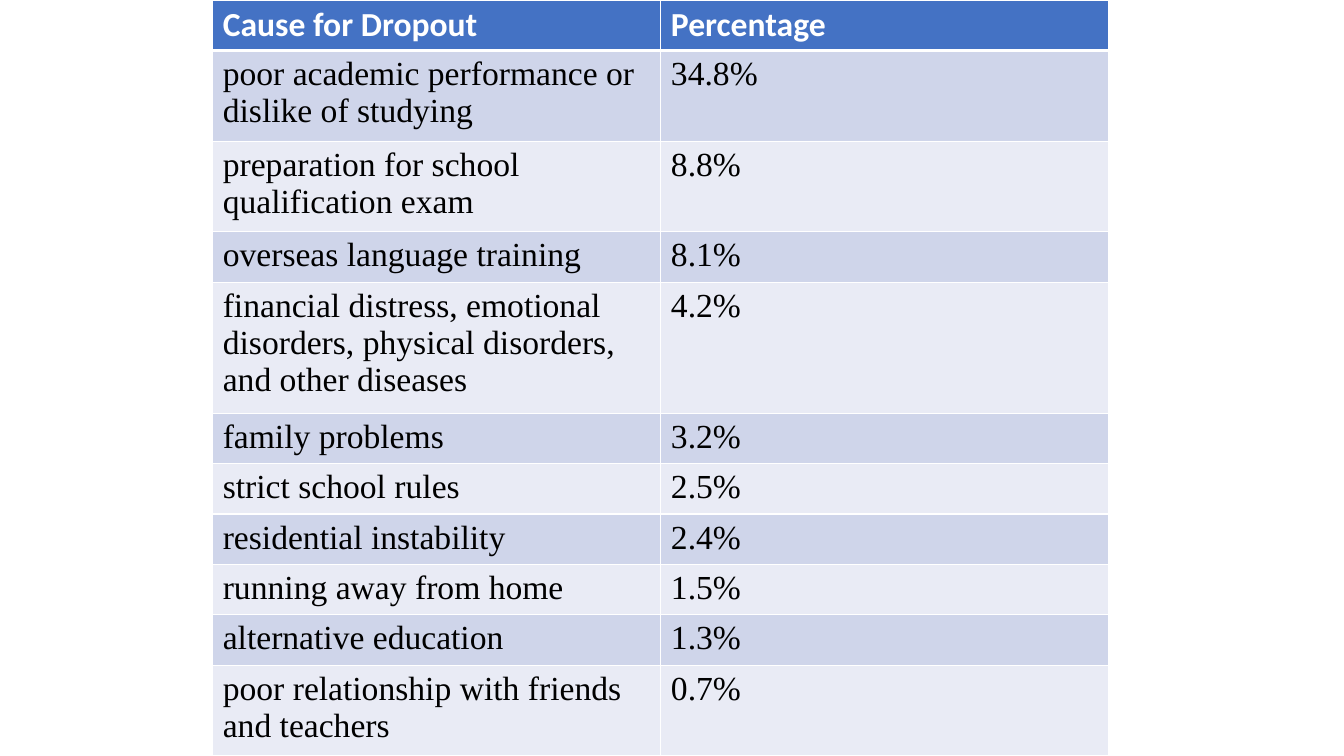
from dataclasses import dataclass

import lxml.etree
import pptx
import pptx.dml.color
import pptx.oxml
import pptx.oxml.ns
import pptx.util

Inches = pptx.util.Inches
RGBColor = pptx.dml.color.RGBColor

WHITE = RGBColor(0xFF, 0xFF, 0xFF)
BLACK = RGBColor(0x00, 0x00, 0x00)
HEADER_BLUE = RGBColor(0x44, 0x72, 0xC4)
BANDS = (RGBColor(0xCF, 0xD5, 0xEA), RGBColor(0xE9, 0xEB, 0xF5))


@dataclass(frozen=True)
class CellStyle:
    font: str
    color: RGBColor
    fill: RGBColor
    bold: bool = False
    bottom_margin: float = 0.05


@dataclass(frozen=True)
class Cause:
    name: str
    share: str
    lines: int = 1


HEADER = Cause("Cause for Dropout", "Percentage")
CAUSES = [
    Cause("poor academic performance or dislike of studying", "34.8%", 2),
    Cause("preparation for school qualification exam", "8.8%", 2),
    Cause("overseas language training", "8.1%"),
    Cause("financial distress, emotional disorders, physical disorders, "
          "and other diseases", "4.2%", 3),
    Cause("family problems", "3.2%"),
    Cause("strict school rules", "2.5%"),
    Cause("residential instability", "2.4%"),
    Cause("running away from home", "1.5%"),
    Cause("alternative education", "1.3%"),
    Cause("poor relationship with friends and teachers", "0.7%", 2),
]


def add_border(cell, side: str, width: float, color: RGBColor) -> None:
    qn = pptx.oxml.ns.qn
    ln = lxml.etree.Element(qn(f"a:{side}"), w=str(pptx.util.Pt(width)))
    fill = lxml.etree.SubElement(ln, qn("a:solidFill"))
    lxml.etree.SubElement(fill, qn("a:srgbClr"), val=str(color))
    cell._tc.get_or_add_tcPr().append(ln)


def fill_row(table, index: int, cause: Cause, style: CellStyle) -> None:
    table.rows[index].height = Inches(0.1 + 0.4 * cause.lines)
    for col, text in enumerate((cause.name, cause.share)):
        cell = table.cell(index, col)
        cell.margin_bottom = Inches(style.bottom_margin)
        # The rule under the header is heavier than the other borders
        for side in ("lnL", "lnR", "lnT", "lnB"):
            heavy = (index, side) in ((0, "lnB"), (1, "lnT"))
            add_border(cell, side, 3 if heavy else 1, WHITE)
        cell.fill.solid()
        cell.fill.fore_color.rgb = style.fill
        r = cell.text_frame.paragraphs[0].add_run()
        r.text = text
        r.font.name = style.font
        r.font.size = pptx.util.Pt(24)
        r.font.bold = style.bold
        r.font.color.rgb = style.color


def main() -> None:
    prs = pptx.Presentation()
    prs.slide_width, prs.slide_height = Inches(13.33), Inches(7.5)
    s = prs.slides.add_slide(prs.slide_layouts[6])

    # Table
    sp = s.shapes.add_table(len(CAUSES) + 1, 2, Inches(2.11), Inches(0),
                            Inches(8.89), Inches(7.5))
    table = sp.table

    # Header, then banded body rows
    fill_row(table, 0, HEADER,
             CellStyle("Calibri", WHITE, HEADER_BLUE, bold=True, bottom_margin=0.03))
    for i, cause in enumerate(CAUSES):
        fill_row(table, i + 1, cause,
                 CellStyle("Times New Roman", BLACK, BANDS[i % 2]))

    prs.save("out.pptx")


if __name__ == "__main__":
    main()
